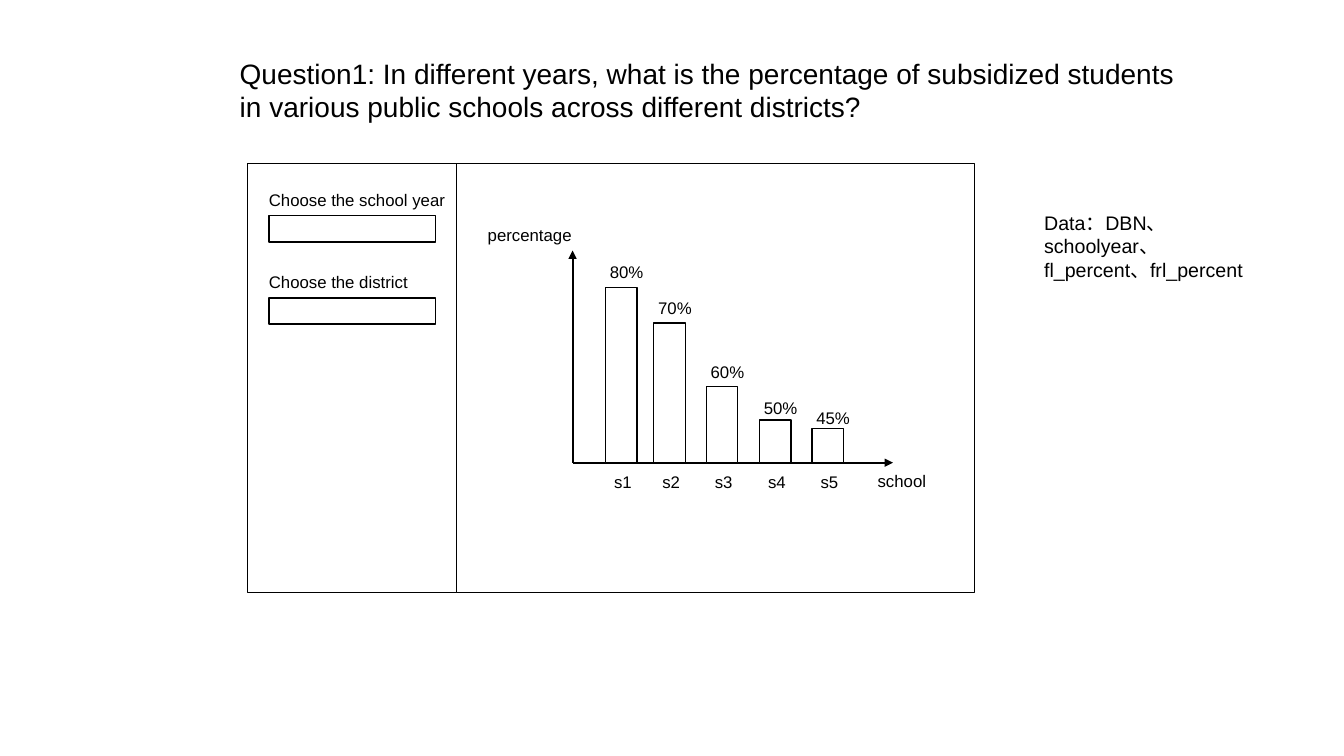
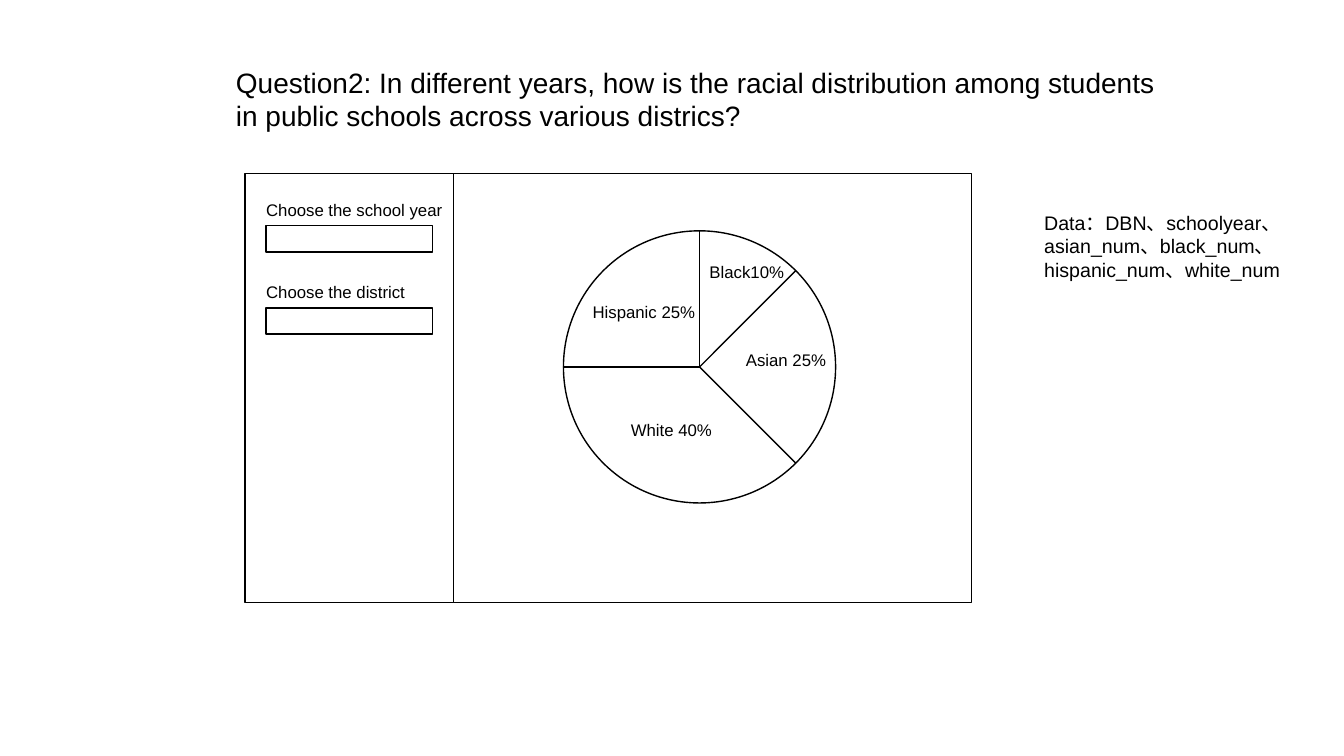
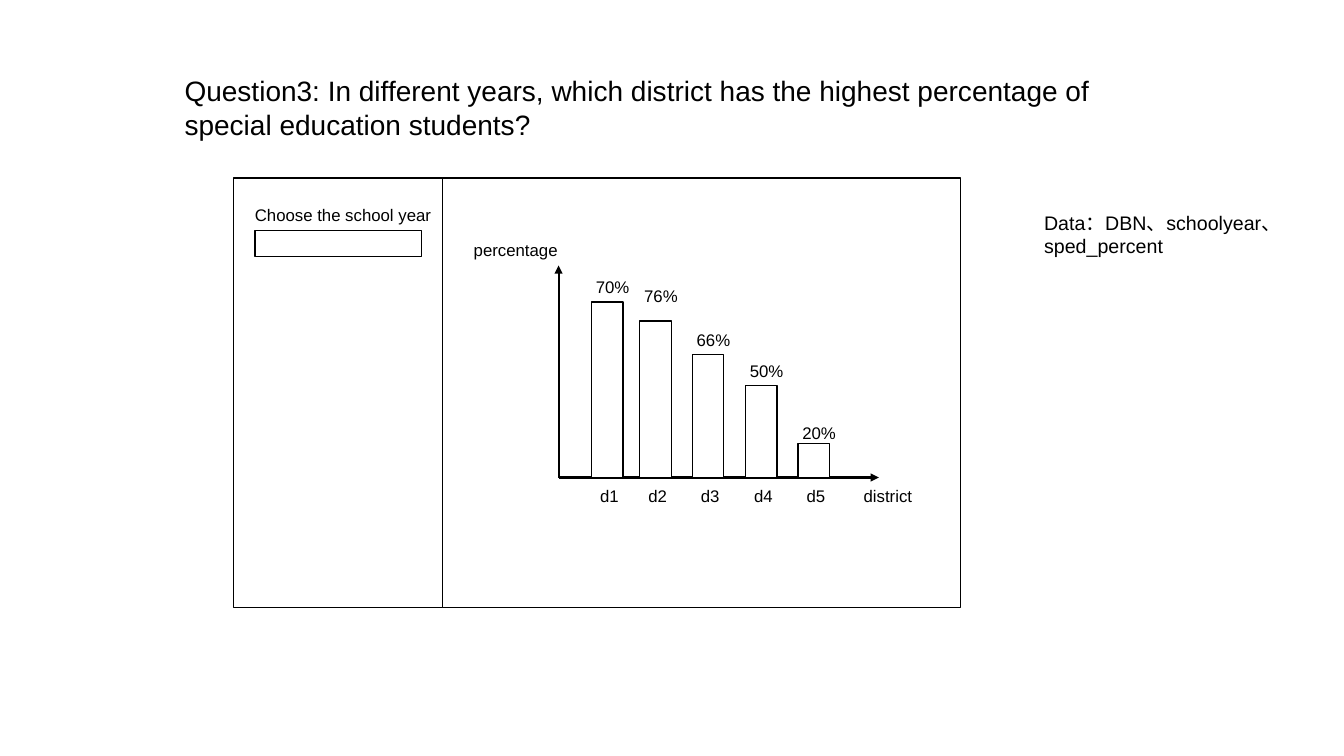
from collections import namedtuple
from math import cos, radians, sin

from pptx import Presentation
from pptx.dml.color import RGBColor
from pptx.enum.shapes import MSO_CONNECTOR as Connector, MSO_SHAPE as Preset
from pptx.enum.text import MSO_ANCHOR as Anchor, MSO_AUTO_SIZE as AutoSize, PP_ALIGN as Align
from pptx.oxml.ns import qn
from pptx.util import Pt

INK = "000000"
PAPER = "FFFFFF"
FONT = "Arial"
TITLE_SIZE, DATA_SIZE, LABEL_SIZE = 20, 14, 12
LABEL_HEIGHT = 21.8
FILTER_WIDTH, RESULT_WIDTH, FRAME_HEIGHT = 149, 370, 306.7
DATA_LEFT, DATA_TOP = 738.7, 146.9
BAR_OFFSETS = (23.5, 58, 95.5, 133.5, 171)
BAR_WIDTH = 22.5
FRAME_FORMAT = {
    "word_wrap": True,
    "auto_size": AutoSize.NONE,
    "vertical_anchor": Anchor.TOP,
}

Box = namedtuple("Box", "left top width height")
Bar = namedtuple("Bar", "value height lift")
Slice = namedtuple("Slice", "wording dx dy")


def color(hex_code):
    return RGBColor.from_string(hex_code)


def points(*lengths):
    return [Pt(round(length, 2)) for length in lengths]


def apply_format(target, values):
    for name, value in values.items():
        setattr(target, name, value)


def write(holder, wording, size):
    frame = holder.text_frame
    apply_format(frame, FRAME_FORMAT)
    paragraph = frame.paragraphs[0]
    paragraph.alignment = Align.LEFT
    run = paragraph.add_run()
    run.text = wording
    apply_format(run.font, {"name": FONT, "size": Pt(size)})
    run.font.color.rgb = color(INK)


def add_label(slide, wording, box, size=LABEL_SIZE):
    write(slide.shapes.add_textbox(*points(*box)), wording, size)


def add_outline(slide, box, preset=Preset.RECTANGLE, filled=True):
    outline = slide.shapes.add_shape(preset, *points(*box))
    outline.shadow.inherit = False
    if filled:
        outline.fill.solid()
        outline.fill.fore_color.rgb = color(PAPER)
    else:
        outline.fill.background()
    outline.line.color.rgb = color(INK)
    outline.line.width = Pt(1)


def add_line(slide, start, end, width=1, arrow=False):
    line = slide.shapes.add_connector(Connector.STRAIGHT, *points(*start, *end))
    line.line.color.rgb = color(INK)
    line.line.width = Pt(width)
    properties = line._element.spPr
    if arrow:
        stroke = properties.find(qn("a:ln"))
        head = stroke.makeelement(qn("a:tailEnd"), {"type": "triangle"})
        stroke.append(head)
    properties.append(properties.makeelement(qn("a:effectLst"), {}))


def place_title(slide, wording, box):
    title = slide.shapes.title
    apply_format(title, dict(zip(box._fields, points(*box))))
    write(title, wording, TITLE_SIZE)


def place_filters(slide, box, filters):
    add_outline(slide, box)
    for row, wording in enumerate(filters):
        top = box.top + 15.1 + row * 58.7
        add_outline(slide, Box(box.left + 15.1, top + 22.3, 118.8, 18.7))
        add_label(slide, wording, Box(box.left + 8, top, 141, LABEL_HEIGHT))


def place_bars(slide, box, category, bars):
    add_outline(slide, box)
    left, base = box.left + 83, box.top + 213.8
    add_line(slide, (left, base), (left, base - 151.5), 1.5, arrow=True)
    add_line(slide, (left, base), (left + 228.8, base), 1.5, arrow=True)
    add_label(slide, "percentage", Box(box.left + 15.3, box.top + 40.3, 88, LABEL_HEIGHT))
    add_label(slide, category, Box(box.left + 293.8, base + 2.3, 75.6, LABEL_HEIGHT))
    for number, (offset, bar) in enumerate(zip(BAR_OFFSETS, bars), 1):
        bar_left, bar_top = left + offset, base - bar.height
        add_outline(slide, Box(bar_left, bar_top, BAR_WIDTH, bar.height))
        add_label(slide, f"{category[0]}{number}", Box(bar_left - 1, base + 2.6, 37.5, LABEL_HEIGHT))
        add_label(slide, f"{bar.value}%", Box(bar_left - 4, bar_top - bar.lift, 40.5, LABEL_HEIGHT))


def place_pie(slide, box, slices, angles):
    add_outline(slide, box)
    radius = 97.2
    center_x, center_y = box.left + 175.7, box.top + 138.2
    circle = Box(center_x - radius, center_y - radius, 2 * radius, 2 * radius)
    add_outline(slide, circle, Preset.OVAL, filled=False)
    for angle in map(radians, angles):
        rim = center_x + radius * cos(angle), center_y - radius * sin(angle)
        add_line(slide, rim, (center_x, center_y))
    for part in slices:
        add_label(slide, part.wording, Box(center_x + part.dx, center_y + part.dy, 88, LABEL_HEIGHT))


def add_question(deck, question, title_box, corner, filters, data, data_box, place_result, *content):
    slide = deck.slides.add_slide(deck.slide_layouts[5])
    left, top = corner
    place_title(slide, question, title_box)
    place_filters(slide, Box(left, top, FILTER_WIDTH, FRAME_HEIGHT), filters)
    place_result(slide, Box(left + FILTER_WIDTH, top, RESULT_WIDTH, FRAME_HEIGHT), *content)
    add_label(slide, "Data：" + "、".join(data), data_box, DATA_SIZE)


def main():
    deck = Presentation()
    apply_format(deck, {"slide_width": Pt(960), "slide_height": Pt(540)})
    year, district = "Choose the school year", "Choose the district"

    add_question(
        deck,
        "Question1: In different years, what is the percentage of subsidized students "
        "in various public schools across different districts?",
        Box(164, 36.5, 682.6, 55.7),
        (177, 116.7),
        (year, district),
        ("DBN", "schoolyear", "fl_percent", "frl_percent"),
        Box(DATA_LEFT, DATA_TOP, 164.2, 58.3),
        place_bars,
        "school",
        (Bar(80, 125.3, 21.6), Bar(70, 99.8, 21.6), Bar(60, 54.5, 20.9),
         Bar(50, 30.4, 19.4), Bar(45, 24.2, 18.7)),
    )
    add_question(
        deck,
        "Question2: In different years, how is the racial distribution among students "
        "in public schools across various districs?",
        Box(161.3, 43, 676, 55.7),
        (175, 123.9),
        (year, district),
        ("DBN", "schoolyear", "asian_num", "black_num", "hispanic_num", "white_num"),
        Box(DATA_LEFT, DATA_TOP, 185.8, 58.3),
        place_pie,
        (Slice("Black10%", 0, -79), Slice("Hispanic 25%", -83.5, -50.4),
         Slice("White 40%", -56.2, 33.8), Slice("Asian 25%", 26, -15.8)),
        (90, 45, 180, -45),
    )
    add_question(
        deck,
        "Question3: In different years, which district has the highest percentage of "
        "special education students?",
        Box(124.6, 49, 695.5, 55.7),
        (167, 127.3),
        (year,),
        ("DBN", "schoolyear", "sped_percent"),
        Box(DATA_LEFT, DATA_TOP, 198.7, 41),
        place_bars,
        "district",
        (Bar(70, 125.3, 21.6), Bar(76, 111.8, 28.8), Bar(66, 88, 20.9),
         Bar(50, 65.9, 20.9), Bar(20, 24.3, 18.7)),
    )
    deck.save("out.pptx")


if __name__ == "__main__":
    main()
